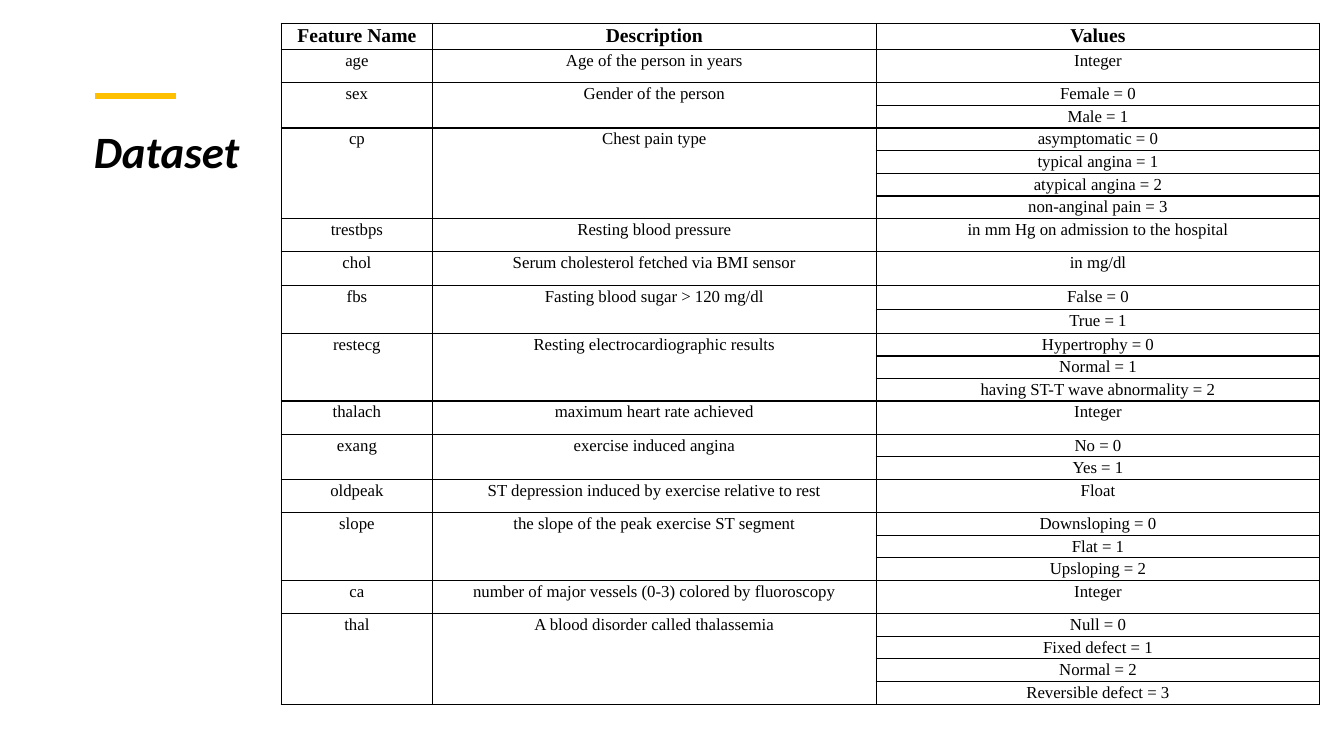
"""Build the dataset feature table slide."""
from lxml.etree import SubElement
from pptx import Presentation
from pptx.dml.color import RGBColor
from pptx.enum.shapes import MSO_CONNECTOR
from pptx.enum.text import MSO_ANCHOR, PP_ALIGN
from pptx.oxml.ns import qn
from pptx.util import Inches, Pt

COLORS = {"text": "000000", "border": "000000", "accent": "FFC000"}
HEADINGS = ["Feature Name", "Description", "Values"]
COLUMN_WIDTHS = [1.5, 4.4, 4.4]
HEADER_HEIGHT = 0.26
FEATURES = [
    ("age", "Age of the person in years", 0.33, ["Integer"]),
    ("sex", "Gender of the person", 0.45, ["Female = 0", "Male = 1"]),
    ("cp", "Chest pain type", 0.9,
     ["asymptomatic = 0", "typical angina = 1", "atypical angina = 2", "non-anginal pain = 3"]),
    ("trestbps", "Resting blood pressure", 0.33, ["in mm Hg on admission to the hospital"]),
    ("chol", "Serum cholesterol fetched via BMI sensor", 0.33, ["in mg/dl"]),
    ("fbs", "Fasting blood sugar > 120 mg/dl", 0.48, ["False = 0", "True = 1"]),
    ("restecg", "Resting electrocardiographic results", 0.67,
     ["Hypertrophy = 0", "Normal = 1", "having ST-T wave abnormality = 2"]),
    ("thalach", "maximum heart rate achieved", 0.33, ["Integer"]),
    ("exang", "exercise induced angina", 0.45, ["No = 0", "Yes = 1"]),
    ("oldpeak", "ST depression induced by exercise relative to rest", 0.33, ["Float"]),
    ("slope", "the slope of the peak exercise ST segment", 0.67,
     ["Downsloping = 0", "Flat = 1", "Upsloping = 2"]),
    ("ca", "number of major vessels (0-3) colored by fluoroscopy", 0.33, ["Integer"]),
    ("thal", "A blood disorder called thalassemia", 0.9,
     ["Null = 0", "Fixed defect = 1", "Normal = 2", "Reversible defect = 3"]),
]


def write_text(frame, text, font="Times New Roman", size=12, bold=False, italic=False,
               align=PP_ALIGN.CENTER, space_before=12, line_spacing=1.0):
    para = frame.paragraphs[0]
    para.alignment = align
    para.space_before = Pt(space_before)
    para.line_spacing = line_spacing
    span = para.add_run()
    span.text = text
    span.font.name = font
    span.font.size = Pt(size)
    span.font.bold = bold
    span.font.italic = italic
    span.font.color.rgb = RGBColor.from_string(COLORS["text"])


def format_cell(cell):
    cell.margin_left = cell.margin_right = Inches(0.08)
    cell.margin_top = Inches(0.02)
    cell.margin_bottom = Inches(0.01)
    cell.vertical_anchor = MSO_ANCHOR.TOP
    properties = cell._tc.get_or_add_tcPr()
    for side in ("a:lnL", "a:lnR", "a:lnT", "a:lnB"):
        border = SubElement(properties, qn(side), w=str(Pt(1)))
        fill = SubElement(border, qn("a:solidFill"))
        SubElement(fill, qn("a:srgbClr"), val=COLORS["border"])
    cell.fill.background()


deck = Presentation()
deck.slide_width = Inches(13.33)
deck.slide_height = Inches(7.5)
page = deck.slides.add_slide(deck.slide_layouts[5])

title = page.shapes.title
title.left, title.top = Inches(0.83), Inches(1.24)
title.width, title.height = Inches(4.97), Inches(1.53)
title.text_frame.vertical_anchor = MSO_ANCHOR.TOP
title.text_frame.word_wrap = True
write_text(title.text_frame, "Dataset", font="Calibri", size=32, bold=True, italic=True,
           align=PP_ALIGN.LEFT, space_before=0, line_spacing=0.9)

accent = page.shapes.add_connector(
    MSO_CONNECTOR.STRAIGHT, Inches(0.94), Inches(0.95), Inches(1.75), Inches(0.95))
accent.line.color.rgb = RGBColor.from_string(COLORS["accent"])
accent.line.width = Pt(4.5)
SubElement(accent._element.spPr, qn("a:effectLst"))

row_count = 1 + sum(len(values) for _, _, _, values in FEATURES)
table_height = HEADER_HEIGHT + sum(height for _, _, height, _ in FEATURES)
table = page.shapes.add_table(
    row_count, len(HEADINGS), Inches(2.79), Inches(0.23),
    Inches(sum(COLUMN_WIDTHS)), Inches(table_height)).table
table.first_row = False
table.horz_banding = False
for cell in table.iter_cells():
    format_cell(cell)

for index, (heading, width) in enumerate(zip(HEADINGS, COLUMN_WIDTHS)):
    table.columns[index].width = Inches(width)
    write_text(table.cell(0, index).text_frame, heading, size=14, bold=True)
table.rows[0].height = Inches(HEADER_HEIGHT)

first = 1
for name, description, height, values in FEATURES:
    last = first + len(values) - 1
    for column, text in enumerate((name, description)):
        if last > first:
            table.cell(first, column).merge(table.cell(last, column))
        write_text(table.cell(first, column).text_frame, text)
    for row, value in enumerate(values, first):
        table.rows[row].height = Inches(height / len(values))
        write_text(table.cell(row, 2).text_frame, value)
    first = last + 1

deck.save("out.pptx")
